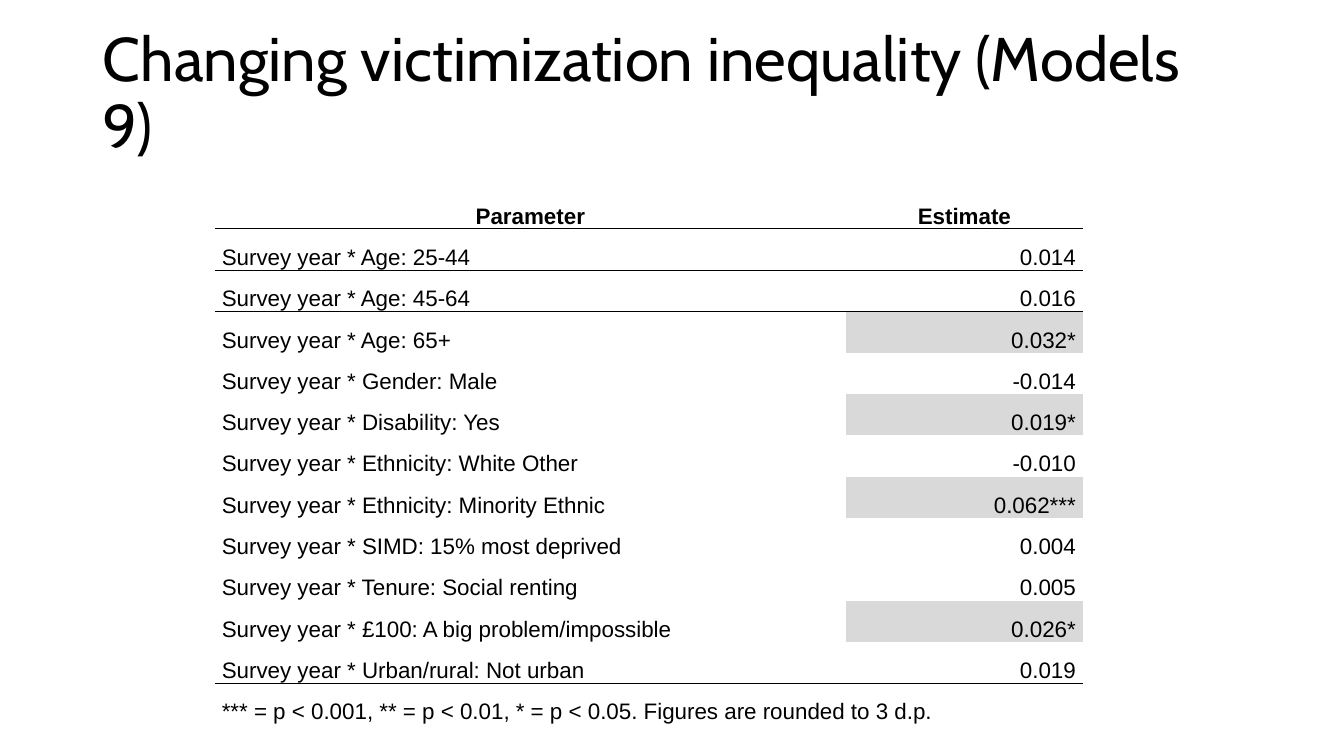
from lxml import etree
from pptx import Presentation
from pptx.dml.color import RGBColor
from pptx.enum.text import MSO_ANCHOR, PP_ALIGN
from pptx.oxml.ns import qn
from pptx.util import Inches, Pt

LEFT, CENTER, RIGHT = PP_ALIGN.LEFT, PP_ALIGN.CENTER, PP_ALIGN.RIGHT
MIDDLE, BOTTOM = MSO_ANCHOR.MIDDLE, MSO_ANCHOR.BOTTOM
TITLE_ONLY = 5
NO_TABLE_STYLE = "{2D5ABB26-0587-4C30-8999-92F81FD0307C}"
BLACK, HIGHLIGHT = "000000", "D9D9D9"

HEADINGS = ("Parameter", "Estimate")
ESTIMATES = (
    ("Age: 25-44", "0.014"),
    ("Age: 45-64", "0.016"),
    ("Age: 65+", "0.032*"),
    ("Gender: Male", "-0.014"),
    ("Disability: Yes", "0.019*"),
    ("Ethnicity: White Other", "-0.010"),
    ("Ethnicity: Minority Ethnic", "0.062***"),
    ("SIMD: 15% most deprived", "0.004"),
    ("Tenure: Social renting", "0.005"),
    ("£100: A big problem/impossible", "0.026*"),
    ("Urban/rural: Not urban", "0.019"),
)
FOOTNOTE = "*** = p < 0.001, ** = p < 0.01, * = p < 0.05. Figures are rounded to 3 d.p."
COLUMN_WIDTHS = (6.26, 2.35)
HEADING_HEIGHT, ROW_HEIGHT = 0.83, 0.41


def apply_format(target, values):
    for name, value in values.items():
        setattr(target, name, value)


def color(hex_value):
    return RGBColor.from_string(hex_value)


def write_text(frame, text, font, paragraph):
    line = frame.paragraphs[0]
    apply_format(line, paragraph)
    run = line.add_run()
    run.text = text
    apply_format(run.font, font)
    run.font.color.rgb = color(BLACK)


def add_rule(cell, edge):
    """Draw a black rule on one edge of a cell: lnT or lnB."""
    rule = etree.SubElement(cell._tc.get_or_add_tcPr(), qn("a:" + edge), w=str(Pt(1)))
    fill = etree.SubElement(rule, qn("a:solidFill"))
    etree.SubElement(fill, qn("a:srgbClr"), val=BLACK)


def fill_cell(cell, text, align, bold=False, space_after=0, rules=()):
    apply_format(cell, {
        "margin_left": Inches(0.07), "margin_right": Inches(0.07),
        "margin_top": 0, "margin_bottom": 0, "vertical_anchor": BOTTOM,
    })
    for edge in rules:
        add_rule(cell, edge)
    # Significant estimates stand out in grey
    if align == RIGHT and text.endswith("*"):
        cell.fill.solid()
        cell.fill.fore_color.rgb = color(HIGHLIGHT)
    else:
        cell.fill.background()
    write_text(cell.text_frame, text,
               {"name": "Arial", "size": Pt(16), "bold": bold},
               {"alignment": align, "line_spacing": 1.07, "space_after": Pt(space_after)})


def add_title(slide, text):
    title = slide.shapes.title
    apply_format(title, {"left": Inches(0.92), "top": Inches(0.22),
                         "width": Inches(11.5), "height": Inches(1.45)})
    apply_format(title.text_frame, {"vertical_anchor": MIDDLE, "word_wrap": True})
    write_text(title.text_frame, text, {"name": "Cabin", "size": Pt(44)},
               {"alignment": LEFT, "line_spacing": 0.9})


def add_estimates_table(slide):
    footnote_row = len(ESTIMATES) + 1
    height = HEADING_HEIGHT + footnote_row * ROW_HEIGHT
    table = slide.shapes.add_table(
        footnote_row + 1, len(HEADINGS), Inches(2.13), Inches(1.44),
        Inches(sum(COLUMN_WIDTHS)), Inches(height)).table
    apply_format(table, {"first_row": False, "horz_banding": False})
    table._tbl.tblPr.find(qn("a:tableStyleId")).text = NO_TABLE_STYLE

    for column, width in zip(table.columns, COLUMN_WIDTHS):
        column.width = Inches(width)
    for row in table.rows:
        row.height = Inches(ROW_HEIGHT)
    table.rows[0].height = Inches(HEADING_HEIGHT)

    # Headings
    for index, heading in enumerate(HEADINGS):
        fill_cell(table.cell(0, index), heading, CENTER, True, 8, ["lnB"])

    # Estimates, with rules around the first and below the last
    row_rules = {1: ["lnT", "lnB"], 2: ["lnT"], len(ESTIMATES): ["lnB"]}
    for row, (parameter, estimate) in enumerate(ESTIMATES, 1):
        rules = row_rules.get(row, [])
        fill_cell(table.cell(row, 0), "Survey year * " + parameter, LEFT, rules=rules)
        fill_cell(table.cell(row, 1), estimate, RIGHT, rules=rules)

    # Footnote across both columns
    footnote = table.cell(footnote_row, 0)
    footnote.merge(table.cell(footnote_row, 1))
    fill_cell(footnote, FOOTNOTE, LEFT, rules=["lnT"])


def main():
    deck = Presentation()
    apply_format(deck, {"slide_width": Inches(13.33), "slide_height": Inches(7.5)})
    slide = deck.slides.add_slide(deck.slide_layouts[TITLE_ONLY])
    add_title(slide, "Changing victimization inequality (Models 9)")
    add_estimates_table(slide)
    deck.save("out.pptx")


if __name__ == "__main__":
    main()
